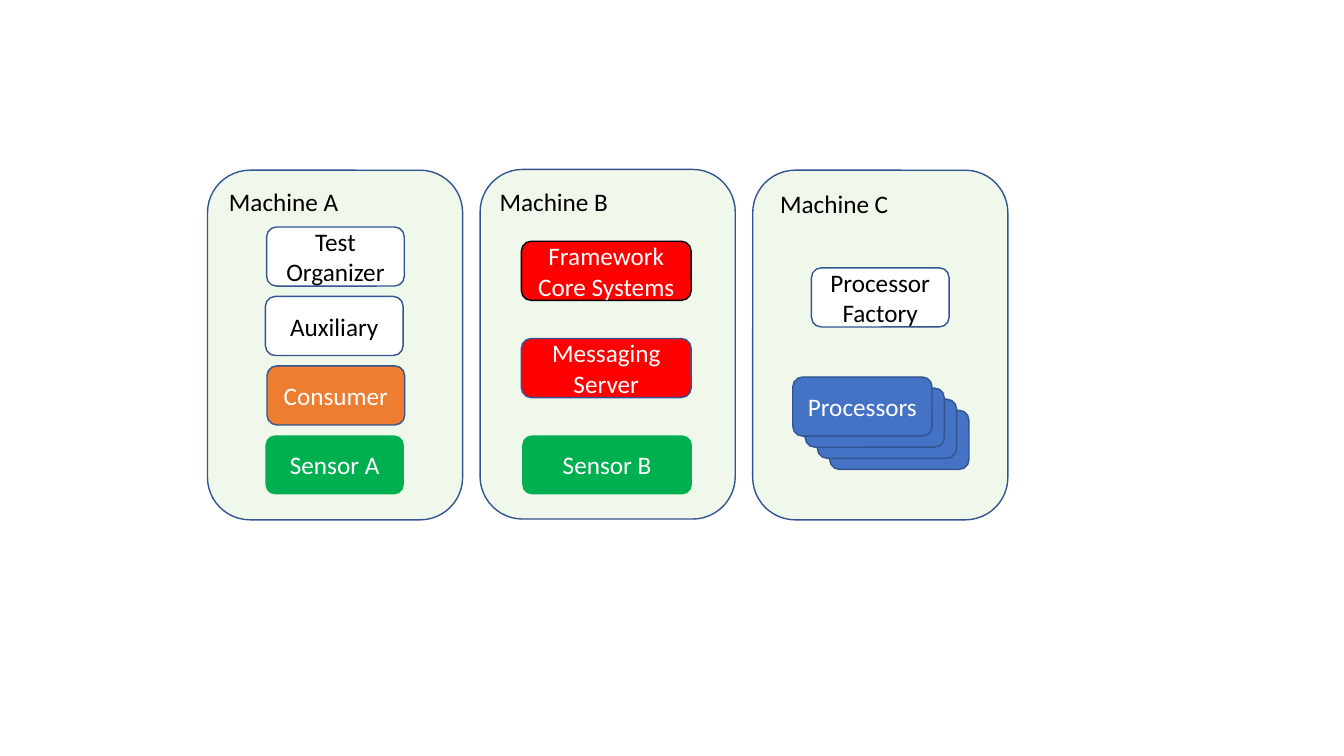
import dataclasses

import lxml.etree
import pptx
import pptx.dml.color
import pptx.enum.shapes
import pptx.enum.text
import pptx.oxml.ns
import pptx.shapes.autoshape
import pptx.shapes.group
import pptx.text.text
import pptx.util

Cm = pptx.util.Cm
Pt = pptx.util.Pt

COLORS = {
    "panel": "E2F0D9", "edge": "325491", "white": "FFFFFF", "black": "000000",
    "green": "00B050", "red": "FF0000", "orange": "ED7D31", "blue": "4472C4",
}
PANEL_LEFT, PANEL_STEP = 5.23, 6.87
PANEL_WIDTH, PANEL_HEIGHT = 6.43, 8.81
BOX_HEIGHT = 1.49
ROW_TOP, ROW_STEP = 5.72, 1.75
STACK_LEFT, STACK_TOP = 19.98, 9.5
STACK_DX, STACK_DY = 0.31, 0.28


@dataclasses.dataclass
class Box:
    text: str
    left: float
    top: float
    width: float
    fill: str
    ink: str = "white"
    edge: str | None = "edge"


@dataclasses.dataclass
class Machine:
    label: str
    label_left: float
    label_top: float
    panel_top: float
    boxes: list[Box]


def row(number: int) -> float:
    return ROW_TOP + number * ROW_STEP


def color(name: str) -> pptx.dml.color.RGBColor:
    return pptx.dml.color.RGBColor.from_string(COLORS[name])


def write(frame: pptx.text.text.TextFrame, text: str, ink: str) -> None:
    run = frame.paragraphs[0].add_run()
    run.text = text
    run.font.name = "Calibri"
    run.font.size = Pt(18)
    run.font.color.rgb = color(ink)


def draw_round(group: pptx.shapes.group.GroupShape, left: float, top: float,
               width: float, height: float, fill: str,
               edge: str | None) -> pptx.shapes.autoshape.Shape:
    shape = group.shapes.add_shape(
        pptx.enum.shapes.MSO_SHAPE.ROUNDED_RECTANGLE,
        Cm(left), Cm(top), Cm(width), Cm(height))
    shape.shadow.inherit = False
    shape.fill.solid()
    shape.fill.fore_color.rgb = color(fill)
    if edge:
        shape.line.color.rgb = color(edge)
        shape.line.width = Pt(1)
    else:
        shape.line.fill.background()
    return shape


def draw_panel(group: pptx.shapes.group.GroupShape, left: float, top: float) -> None:
    panel = draw_round(group, left, top, PANEL_WIDTH, PANEL_HEIGHT, "panel", "edge")
    qn = pptx.oxml.ns.qn
    tint = panel.element.spPr.find(qn("a:solidFill")).find(qn("a:srgbClr"))
    lxml.etree.SubElement(tint, qn("a:alpha"), val="50000")


def draw_box(group: pptx.shapes.group.GroupShape, box: Box) -> None:
    shape = draw_round(group, box.left, box.top, box.width, BOX_HEIGHT,
                       box.fill, box.edge)
    if box.text:
        frame = shape.text_frame
        frame.word_wrap = True
        frame.vertical_anchor = pptx.enum.text.MSO_ANCHOR.MIDDLE
        frame.paragraphs[0].alignment = pptx.enum.text.PP_ALIGN.CENTER
        write(frame, box.text, box.ink)


def draw_label(group: pptx.shapes.group.GroupShape, machine: Machine) -> None:
    label = group.shapes.add_textbox(
        Cm(machine.label_left), Cm(machine.label_top), Cm(3.84), Cm(1.02))
    frame = label.text_frame
    frame.word_wrap = True
    frame.auto_size = pptx.enum.text.MSO_AUTO_SIZE.SHAPE_TO_FIT_TEXT
    write(frame, machine.label, "black")


STACK = [
    Box("" if depth else "Processors", STACK_LEFT + depth * STACK_DX,
        STACK_TOP + depth * STACK_DY, 3.51, "blue")
    for depth in (3, 2, 1, 0)
]
MACHINES = [
    Machine("Machine A", 5.52, 4.57, 4.29, [
        Box("Test Organizer", 6.72, row(0), 3.47, "white", "black"),
        Box("Auxiliary", 6.69, row(1), 3.47, "white", "black"),
        Box("Consumer", 6.73, row(2), 3.47, "orange"),
        Box("Sensor A", 6.69, row(3), 3.49, "green", edge=None),
    ]),
    Machine("Machine B", 12.34, 4.57, 4.27, [
        Box("Framework Core Systems", 13.14, 6.08, 4.28, "red", edge="black"),
        Box("Messaging Server", 13.14, 8.53, 4.28, "red"),
        Box("Sensor B", 13.16, row(3), 4.28, "green", edge=None),
    ]),
    Machine("Machine C", 19.41, 4.62, 4.29, [
        *STACK,
        Box("Processor Factory", 20.45, 6.75, 3.47, "white", "black"),
    ]),
]


def main() -> None:
    deck = pptx.Presentation()
    deck.slide_width, deck.slide_height = Cm(33.87), Cm(19.05)
    slide = deck.slides.add_slide(deck.slide_layouts.get_by_name("Blank"))
    for index, machine in enumerate(MACHINES):
        group = slide.shapes.add_group_shape()
        draw_panel(group, PANEL_LEFT + index * PANEL_STEP, machine.panel_top)
        for box in machine.boxes:
            draw_box(group, box)
        draw_label(group, machine)
    deck.save("out.pptx")


if __name__ == "__main__":
    main()
